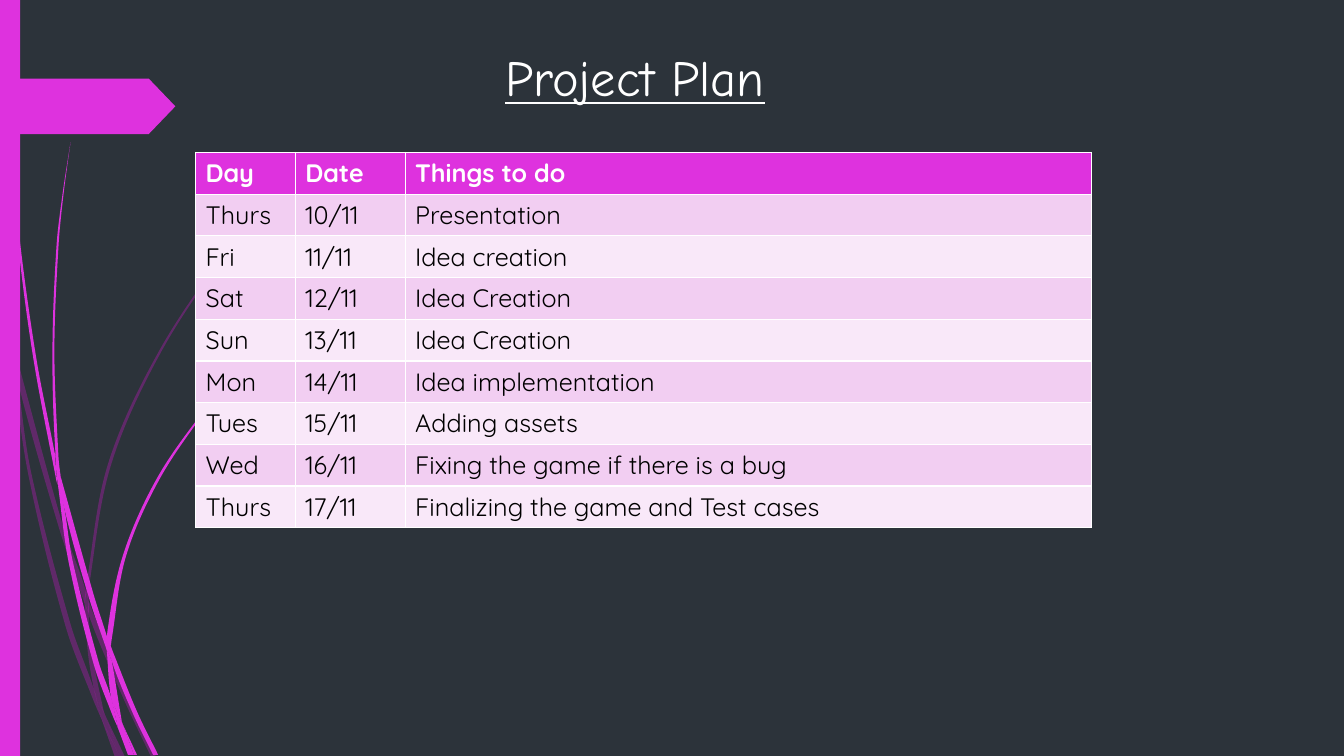
from collections import namedtuple
from dataclasses import dataclass
from itertools import product
from math import dist, hypot
from pptx import Presentation
from pptx.dml.color import RGBColor as Rgb
from pptx.enum.shapes import MSO_SHAPE as Preset
from pptx.enum.text import MSO_ANCHOR as Anchor, MSO_AUTO_SIZE as AutoSize, PP_ALIGN as Align
from pptx.oxml.ns import qn
from pptx.oxml.xmlchemy import OxmlElement
from pptx.util import Cm, Pt

Box = namedtuple("Box", "left top width height")


@dataclass(frozen=True)
class Theme:
    background: str = "2C333A"
    accent: str = "DE32DE"
    faded: str = "B01CB0"
    faded_opacity: int = 40
    white: str = "FFFFFF"
    black: str = "000000"
    bands: tuple = ("F2CEF2", "F9E8F9")
    title_font: str = "Comic Neue"
    body_font: str = "Quicksand"
    title_size: int = 36
    body_size: int = 18


THEME = Theme()
GRID = 2.54
SMOOTH_COSINE = 0.8

FADED_WISPS = [
    [(0.11, 3.5), (0.09, 3.22), (0, 2.82), (0, 2.99), (0.1, 3.44)],
    [(0.58, 5.22), (0.84, 5.99), (0.85, 5.86), (0.62, 5.2), (0.14, 3.45), (0.17, 3.76)],
    [(0.92, 6.07), (0.88, 5.96), (0.88, 6.1), (1.23, 6.94), (1.5, 7.51), (1.55, 7.51),
     (1.27, 6.92)],
    [(1.19, 7.51), (1.24, 7.51), (1.05, 7.11)],
    [(0.93, 6.83), (0.7, 6.19), (0.31, 4.69), (0.17, 3.76), (0.11, 3.5), (0.28, 4.7),
     (0.65, 6.21), (0.92, 6.93), (1.01, 7.14), (0.99, 7.07)],
    [(0.84, 5.99), (0.87, 6.46), (0.93, 6.83), (0.96, 6.92), (1.05, 7.11), (1.03, 7.06),
     (0.91, 6.46), (0.88, 6.1), (0.88, 6.08)],
    [(0.88, 5.84), (1.1, 4.62), (1.6, 3.49), (2.29, 2.45), (2.68, 1.98), (2.9, 1.75),
     (3.12, 1.54), (3.12, 1.53), (2.89, 1.75), (2.68, 1.97), (2.28, 2.44), (1.58, 3.48),
     (1.07, 4.61), (0.85, 5.84), (0.85, 5.86), (0.88, 5.96)],
    [(1.01, 7.14), (1.14, 7.51), (1.19, 7.51)],
    [(0.88, 6.08), (0.88, 6.1), (0.88, 5.96), (0.85, 5.86), (0.84, 5.99)],
    [(0.96, 6.92), (0.93, 6.83), (0.99, 7.07), (1.01, 7.14), (1.19, 7.51), (1.05, 7.11)],
]
BRIGHT_WISPS = [
    [(0.07, 1.1), (0.17, 2.33), (0.33, 3.55), (0.56, 4.77), (0.57, 4.81), (0.55, 4.57),
     (0.55, 4.53), (0.36, 3.55), (0.19, 2.32), (0.08, 1.09), (0.05, 0.48), (0.04, 0),
     (0.03, 0), (0.04, 0.48)],
    [(0.88, 5.92), (1.06, 6.45), (1.06, 6.33), (1.06, 6.31), (0.93, 5.9), (0.6, 4.72),
     (0.64, 5.05)],
    [(1.13, 6.49), (1.1, 6.41), (1.11, 6.56), (1.32, 7.08), (1.52, 7.49), (1.57, 7.49),
     (1.36, 7.06)],
    [(1.1, 6.91), (0.98, 6.57), (0.72, 5.56), (0.64, 5.05), (0.57, 4.77), (0.68, 5.57),
     (0.93, 6.59), (1.11, 7.08), (1.17, 7.22), (1.16, 7.17)],
    [(0.6, 4.72), (0.58, 4.53), (0.54, 3.49), (0.58, 2.45), (0.63, 1.93), (0.7, 1.41),
     (0.62, 1.93), (0.56, 2.45), (0.52, 3.49), (0.55, 4.49)],
    [(1.33, 7.49), (1.36, 7.49), (1.22, 7.19)],
    [(0.57, 4.77), (0.64, 5.05), (0.6, 4.72), (0.55, 4.49), (0.55, 4.53)],
    [(1.11, 6.33), (1.25, 5.52), (1.58, 4.76), (2.05, 4.06), (2.31, 3.74), (2.45, 3.59),
     (2.61, 3.44), (2.6, 3.44), (2.45, 3.58), (2.31, 3.73), (2.04, 4.05), (1.56, 4.74),
     (1.22, 5.51), (1.06, 6.31), (1.1, 6.41)],
    [(1.17, 7.22), (1.27, 7.49), (1.31, 7.49)],
    [(1.06, 6.45), (1.1, 6.91), (1.16, 7.06), (1.22, 7.19), (1.21, 7.16), (1.11, 6.56),
     (1.09, 6.51)],
    [(1.06, 6.45), (1.09, 6.51), (1.11, 6.56), (1.1, 6.41), (1.06, 6.31), (1.06, 6.33)],
    [(1.16, 7.06), (1.1, 6.91), (1.16, 7.17), (1.17, 7.22), (1.3, 7.49), (1.33, 7.49),
     (1.22, 7.19)],
]
PLAN = [
    ("Day", "Date", "Things to do"),
    ("Thurs", "10/11", "Presentation"),
    ("Fri", "11/11", "Idea creation"),
    ("Sat", "12/11", "Idea Creation"),
    ("Sun", "13/11", "Idea Creation"),
    ("Mon", "14/11", "Idea implementation"),
    ("Tues", "15/11", "Adding assets"),
    ("Wed", "16/11", "Fixing the game if there is a bug"),
    ("Thurs", "17/11", "Finalizing the game and Test cases"),
]


def in_cm(box):
    return [Cm(length) for length in box]


def paint(shape, color):
    shape.fill.solid()
    shape.fill.fore_color.rgb = Rgb.from_string(color)
    shape.line.fill.background()
    shape.shadow.inherit = False


def style_font(font, name, size, color):
    font.name, font.size = name, Pt(size)
    font.color.rgb = Rgb.from_string(color)


def direction(start, end):
    length = dist(start, end)
    return (end[0] - start[0]) / length, (end[1] - start[1]) / length


def handle(before, point, after, toward):
    arriving, leaving = direction(before, point), direction(point, after)
    bend = arriving[0] * leaving[0] + arriving[1] * leaving[1]
    sign, neighbour = (1, after) if toward else (-1, before)
    heading = leaving if toward else arriving
    if bend > SMOOTH_COSINE:
        heading = direction(before, after)
    reach = sign * hypot(neighbour[0] - point[0], neighbour[1] - point[1]) / 3
    return point[0] + heading[0] * reach, point[1] + heading[1] * reach


def add_wisp(page, box, knots, color):
    outline = [(Cm(box.left + x * GRID), Cm(box.top + y * GRID)) for x, y in knots]
    count = len(outline)
    builder = page.shapes.build_freeform(*outline[0])
    builder.add_line_segments(outline[1:] + outline[:1], close=True)
    wisp = builder.convert_to_shape()
    paint(wisp, color)
    for index, segment in enumerate(list(wisp.element.iter(qn("a:lnTo")))):
        before, start, end, after = (outline[(index + k) % count] for k in (-1, 0, 1, 2))
        curve = OxmlElement("a:cubicBezTo")
        for x, y in (handle(before, start, end, True), handle(start, end, after, False), end):
            point = OxmlElement("a:pt")
            point.set("x", str(round(x - wisp.left)))
            point.set("y", str(round(y - wisp.top)))
            curve.append(point)
        segment.getparent().replace(segment, curve)
    return wisp


def add_decoration(page, box):
    for knots in FADED_WISPS:
        wisp = add_wisp(page, box, knots, THEME.faded)
        alpha = OxmlElement("a:alpha")
        alpha.set("val", str(THEME.faded_opacity * 1000))
        wisp.element.spPr.find(qn("a:solidFill"))[0].append(alpha)
    for knots in BRIGHT_WISPS:
        add_wisp(page, box, knots, THEME.accent)
    for preset, place in ((Preset.RECTANGLE, (box.left, box.top, 0.51, box.height)),
                          (Preset.PENTAGON, (box.left, box.top + 1.98, 4.42, 1.4))):
        shape = page.shapes.add_shape(preset, *in_cm(place))
        paint(shape, THEME.accent)
    shape.adjustments[0] = 0.48


def add_title(page, box, text):
    title = page.shapes.title
    title.left, title.top, title.width, title.height = in_cm(box)
    frame = title.text_frame
    frame.text = text
    frame.auto_size = AutoSize.NONE
    frame.vertical_anchor = Anchor.TOP
    para = frame.paragraphs[0]
    para.alignment = Align.CENTER
    style_font(para.font, THEME.title_font, THEME.title_size, THEME.white)
    para.font.underline = True


def add_plan(page, box, rows):
    table = page.shapes.add_table(len(rows), len(rows[0]), *in_cm(box)).table
    day_width, date_width = 2.51, 2.77
    widths = (day_width, date_width, box.width - day_width - date_width)
    for column, width in zip(table.columns, widths):
        column.width = Cm(width)
    for row in table.rows:
        row.height = Cm(box.height / len(rows))
    for r, c in product(range(len(rows)), range(len(widths))):
        cell, header = table.cell(r, c), r == 0
        cell.text = rows[r][c]
        para = cell.text_frame.paragraphs[0]
        style_font(para.font, THEME.body_font, THEME.body_size,
                   THEME.white if header else THEME.black)
        para.font.bold = header
        cell.fill.solid()
        color = THEME.accent if header else THEME.bands[(r - 1) % 2]
        cell.fill.fore_color.rgb = Rgb.from_string(color)


def add_plan_page(deck, box):
    page = deck.slides.add_slide(deck.slide_layouts[5])
    page.background.fill.solid()
    page.background.fill.fore_color.rgb = Rgb.from_string(THEME.background)
    add_decoration(page, box)
    add_title(page, Box(box.left + 10.26, box.top + 1.04, 11.48, 1.8), "Project Plan")
    add_plan(page, Box(box.left + 4.93, box.top + 3.84, 22.58, 9.27), PLAN)


slide_box = Box(0, 0, 33.87, 19.05)
deck = Presentation()
deck.slide_width, deck.slide_height = Cm(slide_box.width), Cm(slide_box.height)
add_plan_page(deck, slide_box)
deck.save("out.pptx")
